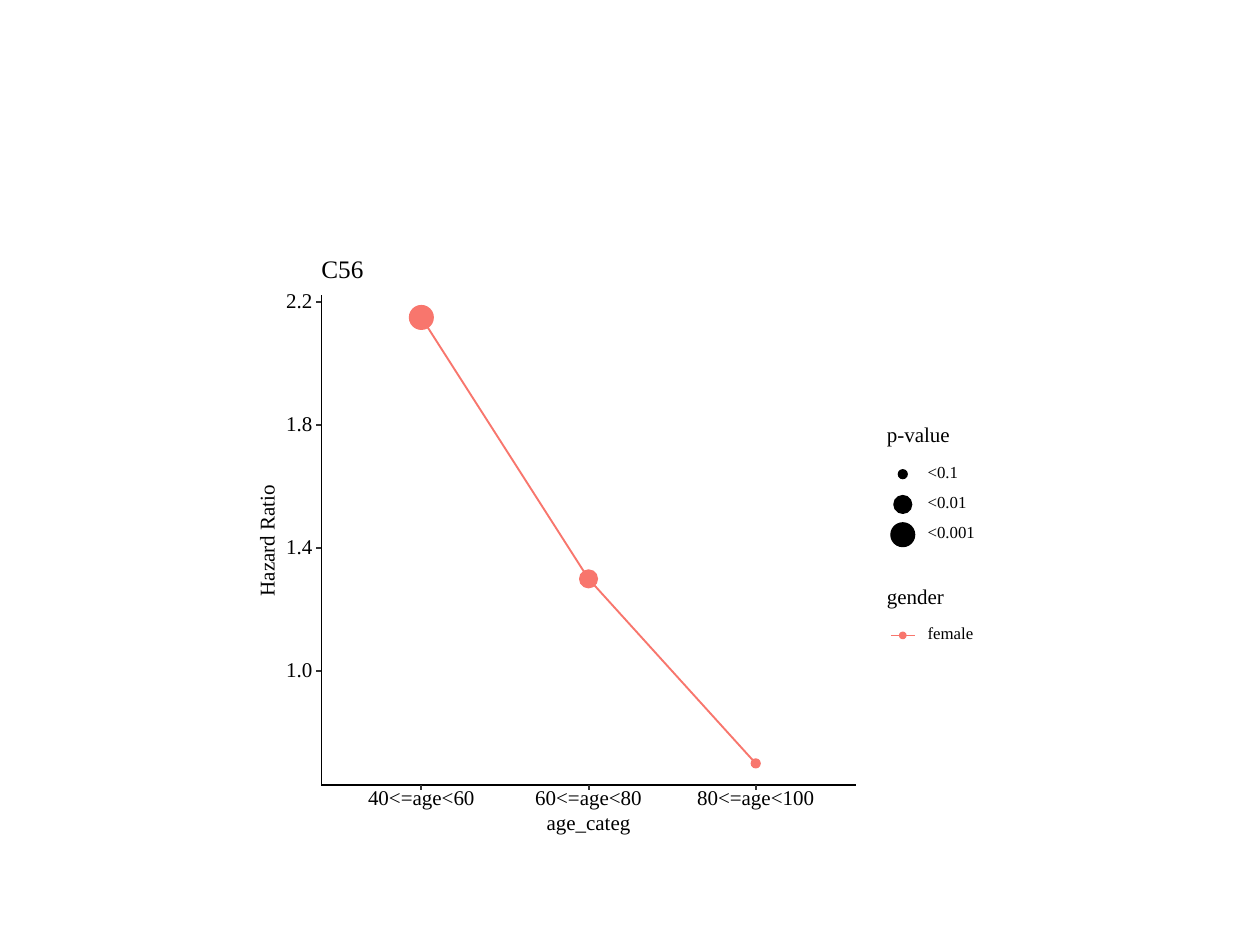
from lxml.etree import SubElement
from pptx import Presentation
from pptx.dml.color import RGBColor
from pptx.enum.shapes import MSO_CONNECTOR, MSO_SHAPE
from pptx.enum.text import MSO_ANCHOR, PP_ALIGN as ALIGN
from pptx.oxml.ns import qn
from pptx.util import Cm, Pt

BLACK = RGBColor(0x00, 0x00, 0x00)
WHITE = RGBColor(0xFF, 0xFF, 0xFF)
TICK_GRAY = RGBColor(0x33, 0x33, 0x33)
CORAL = RGBColor(0xF8, 0x76, 0x6D)
FONT = "Times New Roman"

AXIS_LEFT, AXIS_RIGHT = 6.48, 17.25
AXIS_TOP, AXIS_BOTTOM = 5.94, 15.82
CENTER_X = (AXIS_LEFT + AXIS_RIGHT) / 2
CATEGORY_STEP = 3.37
UNIT_HEIGHT = 6.2
ONE_Y = 13.53
TICK = 0.1
LEGEND_LEFT, LEGEND_KEY_X, LEGEND_TEXT_X = 17.88, 18.2, 18.7
LEGEND_STEP = 0.61

presentation = Presentation()
presentation.slide_width = Cm(25.4)
presentation.slide_height = Cm(19.05)
slide = presentation.slides.add_slide(presentation.slide_layouts[6])
plot = slide.shapes.add_group_shape()


def add_filled(kind, left, top, width, height, color, line_width=None):
    shape = plot.shapes.add_shape(kind, Cm(left), Cm(top), Cm(width), Cm(height))
    shape.shadow.inherit = False
    shape.fill.solid()
    shape.fill.fore_color.rgb = color
    if line_width:
        shape.line.color.rgb = color
        shape.line.width = Pt(line_width)
    else:
        shape.line.fill.background()


def add_label(text, left, center_y, width, size=12, align=ALIGN.LEFT, rotation=0):
    height = 0.36
    box = plot.shapes.add_textbox(Cm(left), Cm(center_y - height / 2), Cm(width), Cm(height))
    box.rotation = rotation
    frame = box.text_frame
    frame.word_wrap = False
    frame.vertical_anchor = MSO_ANCHOR.MIDDLE
    frame.margin_left = frame.margin_right = frame.margin_top = frame.margin_bottom = 0
    paragraph = frame.paragraphs[0]
    paragraph.alignment = align
    paragraph.line_spacing = Pt(size)
    run = paragraph.add_run()
    run.text = text
    run.font.name = FONT
    run.font.size = Pt(size)
    run.font.color.rgb = BLACK


backgrounds = [
    (5.08, 5.08, 15, 12, 0.75),
    (5.08, 5.08, 15, 12, 1.16),
    (AXIS_LEFT, AXIS_TOP, AXIS_RIGHT - AXIS_LEFT, AXIS_BOTTOM - AXIS_TOP, None),
    (17.68, 8.46, 2.18, 2.84, None),
    (17.68, 11.71, 2.16, 1.63, None),
]
for left, top, width, height, line_width in backgrounds:
    add_filled(MSO_SHAPE.RECTANGLE, left, top, width, height, WHITE, line_width)

hazard_ratios = [
    ("40<=age<60", 2.15, 0.48),
    ("60<=age<80", 1.3, 0.36),
    ("80<=age<100", 0.7, 0.18),
]
lines = [
    (AXIS_LEFT, AXIS_BOTTOM, AXIS_LEFT, AXIS_TOP, BLACK, 1.07),
    (AXIS_LEFT, AXIS_BOTTOM, AXIS_RIGHT, AXIS_BOTTOM, BLACK, 1.07),
    (LEGEND_KEY_X - 0.24, 12.81, LEGEND_KEY_X + 0.24, 12.81, CORAL, 1.07),
]
dots = []
for index, (category, ratio, diameter) in enumerate(hazard_ratios):
    x = CENTER_X + (index - 1) * CATEGORY_STEP
    dots.append((x, ONE_Y - (ratio - 1) * UNIT_HEIGHT, diameter, CORAL))
    lines.append((x, AXIS_BOTTOM + TICK, x, AXIS_BOTTOM, TICK_GRAY, 1.16))
    add_label(category, x - 1.2, 16.12, 2.4, align=ALIGN.CENTER)

builder = plot.shapes.build_freeform(Cm(dots[0][0]), Cm(dots[0][1]))
builder.add_line_segments([(Cm(x), Cm(y)) for x, y, *_ in dots[1:]], close=False)
curve = builder.convert_to_shape()
curve.shadow.inherit = False
curve.fill.background()
curve.line.color.rgb = CORAL
curve.line.width = Pt(1.07)

for value in (1.0, 1.4, 1.8, 2.2):
    y = ONE_Y - (value - 1) * UNIT_HEIGHT
    lines.append((AXIS_LEFT - TICK, y, AXIS_LEFT, y, TICK_GRAY, 1.16))
    add_label(f"{value:.1f}", 5.7, y, 0.6, align=ALIGN.RIGHT)

for index, (level, diameter) in enumerate([("<0.1", 0.18), ("<0.01", 0.36), ("<0.001", 0.48)]):
    y = 9.56 + index * LEGEND_STEP
    dots.append((LEGEND_KEY_X, y, diameter, BLACK))
    add_label(level, LEGEND_TEXT_X, y - 0.02, 1, size=9.6)
dots.append((LEGEND_KEY_X, 12.81, 0.13, CORAL))

for x1, y1, x2, y2, color, line_width in lines:
    line = plot.shapes.add_connector(MSO_CONNECTOR.STRAIGHT, Cm(x1), Cm(y1), Cm(x2), Cm(y2))
    line.line.color.rgb = color
    line.line.width = Pt(line_width)
    SubElement(line._element.spPr, qn("a:effectLst"))

for x, y, diameter, color in dots:
    radius = diameter / 2
    add_filled(MSO_SHAPE.OVAL, x - radius, y - radius, diameter, diameter, color, 0.71)

add_label("age_categ", CENTER_X - 0.9, 16.61, 1.8, align=ALIGN.CENTER)
add_label("Hazard Ratio", 4.26, 10.9, 2.3, align=ALIGN.CENTER, rotation=270)
add_label("p-value", LEGEND_LEFT, 8.8, 1.3)
add_label("gender", LEGEND_LEFT, 12.05, 1.2)
add_label("female", LEGEND_TEXT_X, 12.79, 1, size=9.6)
add_label("C56", AXIS_LEFT, 5.46, 0.9, size=14.4)

presentation.save("out.pptx")
